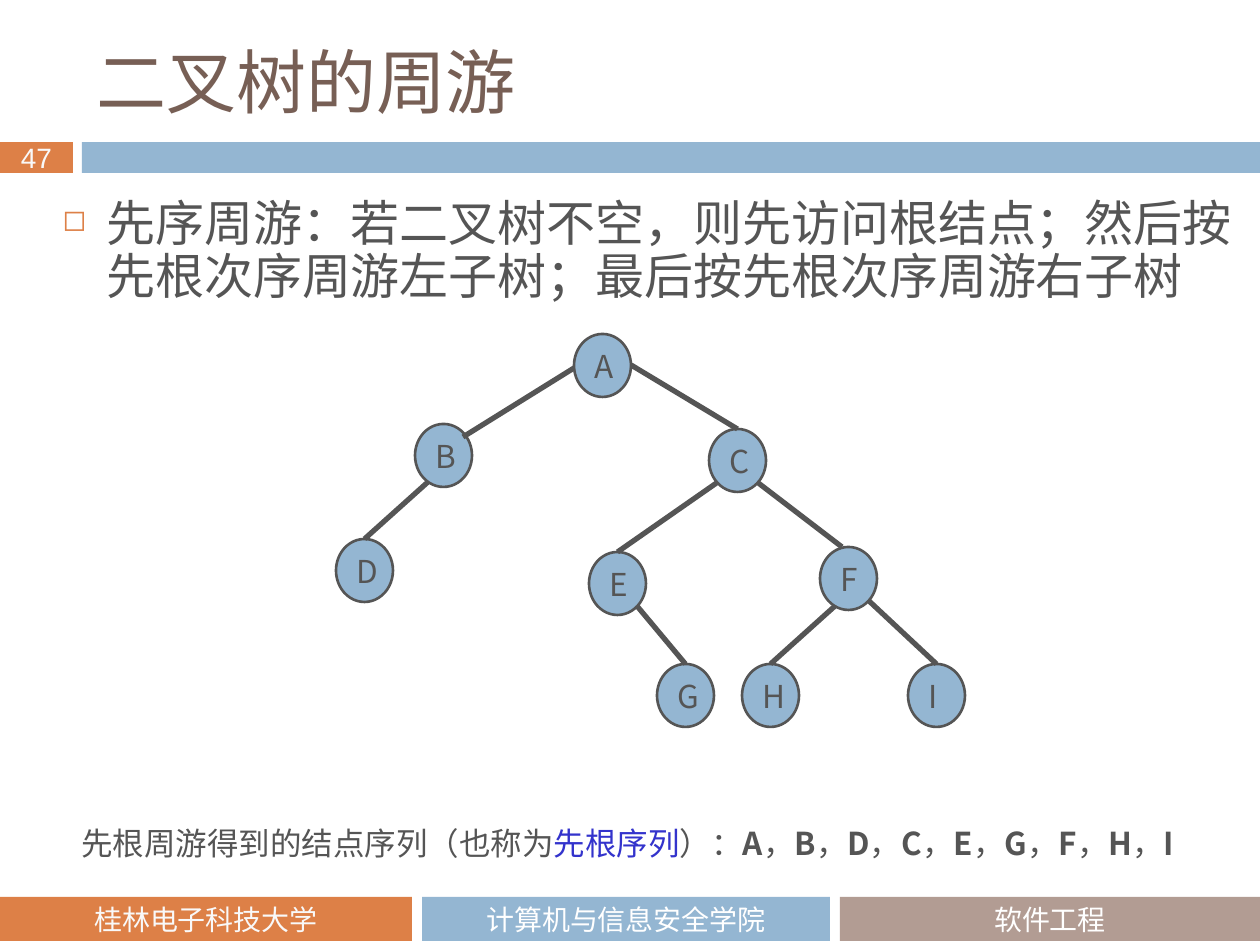
from lxml.etree import SubElement
from pptx import Presentation
from pptx.dml.color import RGBColor
from pptx.enum.shapes import MSO_CONNECTOR, MSO_SHAPE
from pptx.enum.text import MSO_ANCHOR, PP_ALIGN
from pptx.oxml.ns import qn
from pptx.util import Emu, Pt

PX_PER_INCH = 126


class Theme:
    ORANGE, BLUE, TAUPE = "DD8047", "94B6D2", "B29C93"
    TITLE, INK, ACCENT = "775F55", "555555", "3333CC"
    WHITE, OFF_WHITE = "FFFFFF", "F9F9F9"
    TITLE_FONT, BODY_FONT = "Noto Sans CJK JP", "Noto Sans CJK SC"
    FOOTER_FONT, NUMBER_FONT = "Calibri", "Arial"
    TITLE_SIZE, BODY_SIZE, NODE_SIZE, SMALL_SIZE = 40, 28, 18, 16


NODE_WIDTH, NODE_HEIGHT = 57, 63
NODES = {
    "A": (238, 0), "B": (79, 90), "C": (373, 95),
    "D": (0, 205), "E": (253, 218), "F": (484, 213),
    "G": (321, 330), "H": (406, 330), "I": (572, 330),
}
# Parent, child, start inside the parent, end inside the child (None: top middle).
EDGES = [
    ("A", "B", (0, 34), (48, 13)),
    ("A", "C", (57, 31), None),
    ("B", "D", (13, 58), None),
    ("C", "E", (9, 53), None),
    ("C", "F", (48, 53), (22, 0)),
    ("E", "G", (48, 54), None),
    ("F", "H", (15, 59), None),
    ("F", "I", (48, 53), None),
]


def px(length):
    return Emu(round(length * 914400 / PX_PER_INCH))


def color(value):
    return RGBColor.from_string(value)


def style(para, size, ink, font, east_asian=True):
    para.font.size = Pt(size)
    para.font.name = font
    para.font.color.rgb = color(ink)
    if east_asian:
        defaults = para._p.pPr.find(qn("a:defRPr"))
        SubElement(defaults, qn("a:ea"), typeface=font)


def add_text_box(page, left, top, width, height):
    box = page.shapes.add_textbox(px(left), px(top), px(width), px(height))
    box.text_frame.word_wrap = True
    return box.text_frame


def add_filled(shapes, kind, left, top, width, height, fill):
    shape = shapes.add_shape(kind, px(left), px(top), px(width), px(height))
    shape.shadow.inherit = False
    shape.fill.solid()
    shape.fill.fore_color.rgb = color(fill)
    shape.line.fill.background()
    shape.text_frame.vertical_anchor = MSO_ANCHOR.MIDDLE
    return shape


def add_bar(page, left, top, width, height, fill, text="", ink=Theme.WHITE,
            font=Theme.FOOTER_FONT):
    bar = add_filled(page.shapes, MSO_SHAPE.RECTANGLE, left, top, width, height, fill)
    if text:
        bar.text_frame.word_wrap = False
        para = bar.text_frame.paragraphs[0]
        para.text = text
        para.alignment = PP_ALIGN.CENTER
        style(para, Theme.SMALL_SIZE, ink, font, east_asian=False)


def add_header(page, left, top, width, height):
    """Title above a rule that starts with the page number."""
    frame = add_text_box(page, left + 84, top, 1124, 98)
    frame.vertical_anchor = MSO_ANCHOR.MIDDLE
    para = frame.paragraphs[0]
    para.text = "二叉树的周游"
    style(para, Theme.TITLE_SIZE, Theme.TITLE, Theme.TITLE_FONT)

    rule_height = 31
    rule_top = top + height - rule_height
    add_bar(page, left, rule_top, 73, rule_height, Theme.ORANGE, "47",
            Theme.OFF_WHITE, Theme.NUMBER_FONT)
    add_bar(page, left + 82, rule_top, width - 82, rule_height, Theme.BLUE)


def add_definition(page, left, top, width, height):
    frame = add_text_box(page, left, top, width, height)
    para = frame.paragraphs[0]
    para.text = "先序周游：若二叉树不空，则先访问根结点；然后按先根次序周游左子树；最后按先根次序周游右子树"
    para.line_spacing = Pt(30)
    properties = para._p.get_or_add_pPr()
    properties.set("marL", str(px(44)))
    properties.set("indent", str(-px(44)))
    bullet_color = SubElement(properties, qn("a:buClr"))
    SubElement(bullet_color, qn("a:srgbClr"), val=Theme.ORANGE)
    SubElement(properties, qn("a:buSzPct"), val="60000")
    SubElement(properties, qn("a:buChar"), char="◻")
    style(para, Theme.BODY_SIZE, Theme.INK, Theme.BODY_FONT)


def add_node(shapes, left, top, label):
    node = add_filled(shapes, MSO_SHAPE.OVAL, left, top, NODE_WIDTH, NODE_HEIGHT, Theme.BLUE)
    node.line.color.rgb = color(Theme.INK)
    node.line.width = Pt(1.5)
    para = node.text_frame.paragraphs[0]
    para.text = label
    para.alignment = PP_ALIGN.LEFT
    style(para, Theme.NODE_SIZE, Theme.INK, Theme.BODY_FONT)
    return node


def add_tree(page, left, top):
    shapes = page.shapes.add_group_shape().shapes
    nodes = {label: add_node(shapes, left + x, top + y, label)
             for label, (x, y) in NODES.items()}
    for parent, child, start, end in EDGES:
        begin, finish = nodes[parent], nodes[child]
        end_x, end_y = end or (NODE_WIDTH // 2, 0)
        edge = shapes.add_connector(
            MSO_CONNECTOR.STRAIGHT,
            begin.left + px(start[0]), begin.top + px(start[1]),
            finish.left + px(end_x), finish.top + px(end_y))
        if end is None:
            edge.end_connect(finish, 0)
        edge.line.color.rgb = color(Theme.INK)
        edge.line.width = Pt(3)
        SubElement(edge._element.spPr, qn("a:effectLst"))


def add_sequence(page, left, top, width, height):
    """Node labels in preorder, which is their alphabetical order but for C and D."""
    para = add_text_box(page, left, top, width, height).paragraphs[0]
    style(para, Theme.NODE_SIZE, Theme.INK, Theme.BODY_FONT)
    para.add_run().text = "先根周游得到的结点序列（也称为"
    term = para.add_run()
    term.text = "先根序列"
    term.font.color.rgb = color(Theme.ACCENT)
    separator = "）："
    for label in "ABDCEGFHI":
        para.add_run().text = separator
        span = para.add_run()
        span.text = label
        span.font.bold = True
        separator = "，"


def add_footer(page, left, top, height):
    for x, width, fill, text, ink in [
        (0, 412, Theme.ORANGE, "桂林电子科技大学", Theme.OFF_WHITE),
        (422, 408, Theme.BLUE, "计算机与信息安全学院", Theme.WHITE),
        (840, 420, Theme.TAUPE, "软件工程", Theme.WHITE),
    ]:
        add_bar(page, left + x, top, width, height, fill, text, ink)


def main():
    deck = Presentation()
    deck.slide_width, deck.slide_height = px(1260), px(945)
    page = deck.slides.add_slide(deck.slide_layouts[6])
    add_header(page, 0, 32, 1260, 141)
    add_definition(page, 50, 193, 1200, 130)
    add_tree(page, 336, 334)
    add_sequence(page, 69, 818, 1177, 50)
    add_footer(page, 0, 897, 44)
    deck.save("out.pptx")


if __name__ == "__main__":
    main()
